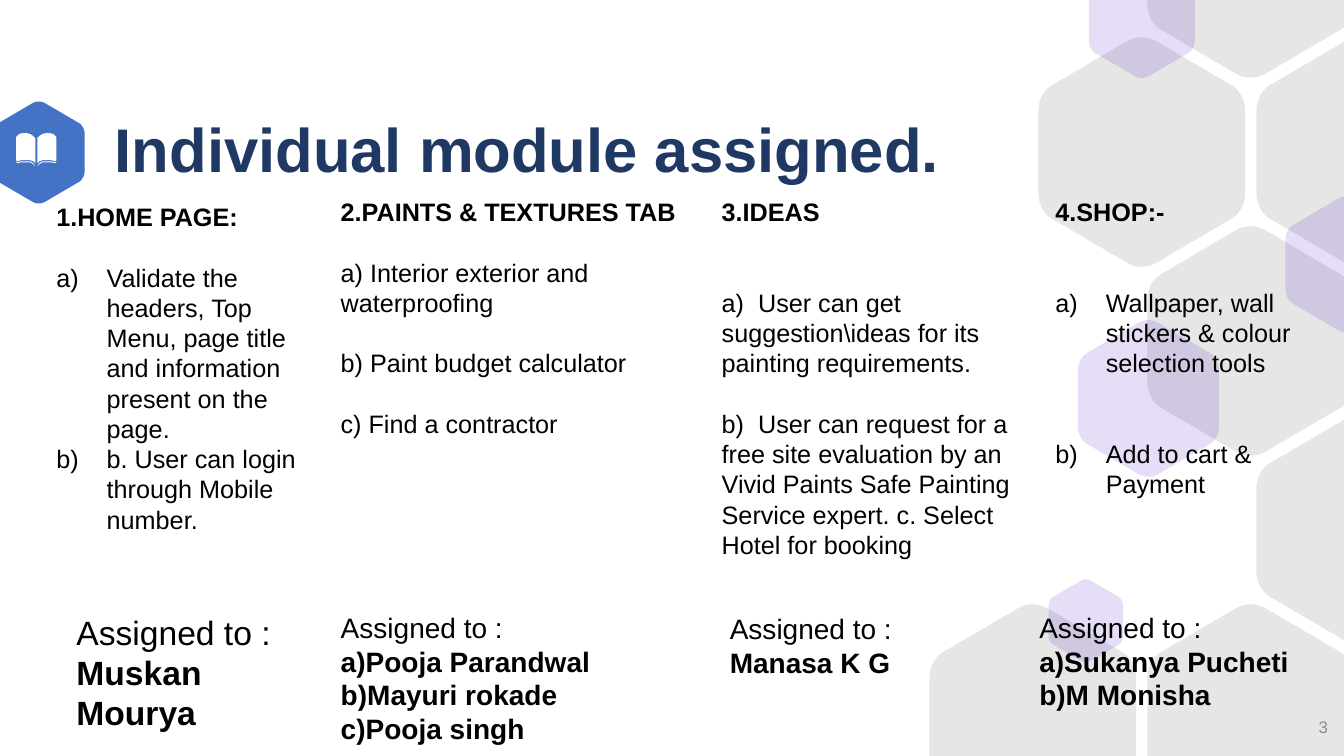
from lxml.etree import SubElement
from pptx import Presentation
from pptx.dml.color import RGBColor
from pptx.enum.text import MSO_ANCHOR, MSO_AUTO_SIZE, PP_ALIGN
from pptx.oxml.ns import qn
from pptx.util import Inches, Pt

WHITE = RGBColor(0xFF, 0xFF, 0xFF)
BLACK = RGBColor(0x00, 0x00, 0x00)
NAVY = RGBColor(0x20, 0x38, 0x64)
BLUE = RGBColor(0x44, 0x72, 0xC4)
PALE_GREY = RGBColor(0xE7, 0xE6, 0xE6)
NUMBER_GREY = RGBColor(0x8C, 0x8C, 0x8C)
VIOLET = RGBColor(0x53, 0x22, 0xC9)

SLIDE_WIDTH, SLIDE_HEIGHT = 13.33, 7.5
HEX_RATIO = 1.105  # height of a hexagon over its width

# Two rounded corners as shares of the hexagon: start, two controls, end
TOP_CORNER = [(0.58, 0.02), (0.53, -0.01), (0.47, -0.01), (0.42, 0.02)]
LEFT_CORNER = [(0.08, 0.2), (0.03, 0.22), (0, 0.27), (0, 0.32)]

# Left half of the open book, in inches from the spine
BOOK_PAGE = [(0.01, 1.62), (0.01, 1.37), (0.03, 1.35), (0.06, 1.33), (0.1, 1.32),
             (0.13, 1.32), (0.17, 1.33), (0.19, 1.35), (0.2, 1.36), (0.2, 1.59),
             (0.19, 1.6), (0.15, 1.59), (0.1, 1.59), (0.06, 1.59), (0.03, 1.6)]
BOOK_EDGE = [(0.01, 1.65), (0.03, 1.62), (0.06, 1.6), (0.1, 1.6), (0.15, 1.6),
             (0.19, 1.61), (0.2, 1.6), (0.19, 1.62), (0.15, 1.61), (0.1, 1.61),
             (0.06, 1.61), (0.03, 1.63)]
BOOK_SPINE = 0.36


def curve(corner, steps=8):
    """Points along a cubic curve."""
    for step in range(steps + 1):
        t = step / steps
        weights = ((1 - t) ** 3, 3 * t * (1 - t) ** 2, 3 * t * t * (1 - t), t ** 3)
        yield tuple(sum(w * point[axis] for w, point in zip(weights, corner))
                    for axis in (0, 1))


def hexagon_outline():
    half = [*curve(TOP_CORNER), *curve(LEFT_CORNER)]
    half += [(x, 1 - y) for x, y in curve(LEFT_CORNER[::-1])]
    return half + [(1 - x, 1 - y) for x, y in half]


class ModuleSlide:
    """Style and slide; places are percentages of the slide's size."""
    font_name = "Arial"

    def __init__(self, deck):
        self.slide = deck.slides.add_slide(deck.slide_layouts[6])

    @staticmethod
    def across(share):
        return SLIDE_WIDTH * share / 100

    @staticmethod
    def down(share):
        return SLIDE_HEIGHT * share / 100

    def outline(self, points, colour, alpha=None):
        points = [(Inches(x), Inches(y)) for x, y in points]
        builder = self.slide.shapes.build_freeform(*points[0])
        builder.add_line_segments(points[1:], close=True)
        shape = builder.convert_to_shape()
        shape.shadow.inherit = False
        shape.fill.solid()
        shape.fill.fore_color.rgb = colour
        shape.line.fill.background()
        if alpha:
            rgb = shape.fill._xPr.find(".//" + qn("a:srgbClr"))
            SubElement(rgb, qn("a:alpha"), val=str(alpha * 1000))

    def hexagon(self, left, top, width, colour, alpha=None):
        wide = self.across(width)
        points = [(self.across(left) + x * wide,
                   min(max(self.down(top) + y * wide * HEX_RATIO, 0), SLIDE_HEIGHT))
                  for x, y in hexagon_outline()]
        self.outline(points, colour, alpha)

    def text(self, place, paragraphs, size, colour=BLACK, frame_format=None,
             paragraph_format=None):
        """Each paragraph is (text, bold, lines of gap above, numbered)."""
        left, top, width, height = place
        box = self.slide.shapes.add_textbox(
            Inches(self.across(left)), Inches(self.down(top)),
            Inches(self.across(width)), Inches(self.down(height)))
        frame = box.text_frame
        frame_format = {"word_wrap": True, **(frame_format or {})}
        for name, value in frame_format.items():
            setattr(frame, name, value)
        for index, (words, bold, gap, numbered) in enumerate(paragraphs):
            paragraph = frame.paragraphs[0] if index == 0 else frame.add_paragraph()
            spacing = {"space_before": Pt(gap * size * 1.2), **(paragraph_format or {})}
            for name, value in spacing.items():
                setattr(paragraph, name, value)
            run = paragraph.add_run()
            run.text = words
            style = {"name": self.font_name, "size": Pt(size), "bold": bold}
            for name, value in style.items():
                setattr(run.font, name, value)
            run.font.color.rgb = colour
            if numbered:
                self.number(paragraph)

    @staticmethod
    def number(paragraph):
        properties = paragraph._p.get_or_add_pPr()
        properties.set("marL", str(Inches(0.5)))
        properties.set("indent", str(-Inches(0.5)))
        SubElement(properties, qn("a:buFont"), typeface="+mj-lt")
        SubElement(properties, qn("a:buAutoNum"), type="alphaLcParenR")

    def module(self, place, heading, tasks, gaps, numbered=False):
        lines = [(heading, True, 0, False)]
        lines += [(task, False, gap, numbered) for task, gap in zip(tasks, gaps)]
        self.text(place, lines, 18, frame_format=GROWING)

    def assignees(self, place, names, size=20):
        lines = [("Assigned to :", False, 0, False)]
        lines += [(name, True, 0, False) for name in names]
        self.text(place, lines, size, frame_format=GROWING)


GROWING = {"auto_size": MSO_AUTO_SIZE.SHAPE_TO_FIT_TEXT}
TIGHT = {"margin_left": 0, "margin_right": 0, "margin_top": 0, "margin_bottom": 0,
         "vertical_anchor": MSO_ANCHOR.MIDDLE}

# Column and row of each grey cell in the honeycomb
GREY_CELLS = [(0, 4), (2, 4), (3, 1), (2, 0), (2, 2), (1, 1), (3, 3)]
VIOLET_CELLS = [(95.65, 26, 9.15), (78.02, 76.67, 5.55), (81.02, -5.2, 7.88),
                (80.2, 42.4, 10.5)]

MODULES = [
    ((3.45, 26, 20.18, 49.87), "1.HOME PAGE:",
     ["Validate the headers, Top Menu, page title and information present on the page.",
      "b. User can login through Mobile number."], (1, 0), True),
    ((24.61, 25.33, 27.23, 33.6), "2.PAINTS & TEXTURES TAB",
     ["a) Interior exterior and waterproofing", "b) Paint budget calculator",
      "c) Find a contractor"], (1, 1, 1)),
    ((52.96, 25.33, 26.03, 49.87), "3.IDEAS",
     ["a)  User can get suggestion\\ideas for its painting requirements.",
      "b)  User can request for a free site evaluation by an Vivid Paints Safe "
      "Painting Service expert. c. Select Hotel for booking"], (2, 1)),
    ((77.79, 25.33, 22.21, 41.73), "4.SHOP:-",
     ["Wallpaper, wall stickers & colour selection tools", "Add to cart & Payment"],
     (2, 2), True),
]
ASSIGNEES = [
    ((4.95, 80.27, 17.48, 17.47), ["Muskan Mourya"], 24),
    ((24.61, 80.13, 20.86, 19.33),
     ["a)Pooja Parandwal", "b)Mayuri rokade", "c)Pooja singh"]),
    ((76.59, 80.13, 20.86, 14.8), ["a)Sukanya Pucheti", "b)M Monisha"]),
    ((53.56, 80.27, 15.45, 10.27), ["Manasa K G"]),
]


def main():
    deck = Presentation()
    deck.slide_width, deck.slide_height = Inches(SLIDE_WIDTH), Inches(SLIDE_HEIGHT)
    page = ModuleSlide(deck)

    # Honeycomb background
    page.hexagon(-0.53, 13.47, 6.83, BLUE)
    for column, row in GREY_CELLS:
        page.hexagon(69.15 + 8.11 * column, 25 * row - 20, 15.38, PALE_GREY)
    for left, top, width in VIOLET_CELLS:
        page.hexagon(left, top, width, VIOLET, alpha=15)

    # Title and slide number
    page.text((8.55, 16.27, 65.72, 7.73),
              [("Individual module assigned.", True, 0, False)], 44, NAVY, TIGHT,
              {"line_spacing": 0.9})
    page.text((92.8, 92.4, 6, 7.6), [("3", False, 0, False)], 12, NUMBER_GREY, TIGHT,
              {"alignment": PP_ALIGN.RIGHT})

    # Book icon
    for half in (BOOK_EDGE, BOOK_PAGE):
        for side in (-1, 1):
            page.outline([(BOOK_SPINE + side * x, y) for x, y in half], WHITE)

    # Modules and the people in charge
    for module in MODULES:
        page.module(*module)
    for group in ASSIGNEES:
        page.assignees(*group)

    deck.save("out.pptx")


if __name__ == "__main__":
    main()
